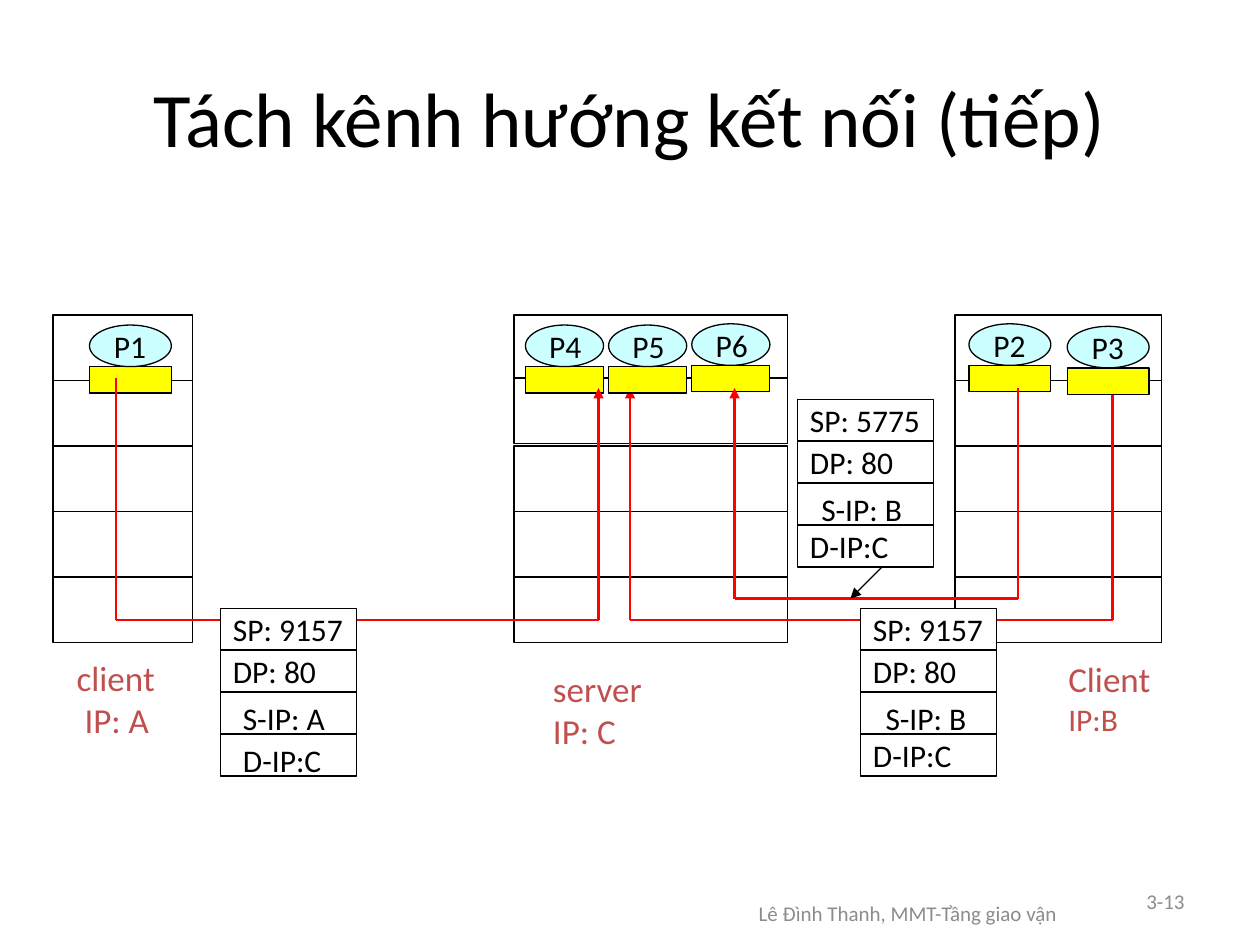
from lxml.etree import SubElement
from pptx import Presentation
from pptx.dml.color import RGBColor
from pptx.enum.shapes import MSO_CONNECTOR, MSO_SHAPE
from pptx.enum.text import MSO_ANCHOR, PP_ALIGN
from pptx.oxml.ns import qn
from pptx.util import Inches, Pt

BLACK = RGBColor(0x00, 0x00, 0x00)
WHITE = RGBColor(0xFF, 0xFF, 0xFF)
GRAY = RGBColor(0x8C, 0x8C, 0x8C)
RED = RGBColor(0xFF, 0x00, 0x00)
BRICK = RGBColor(0xC0, 0x50, 0x4D)
YELLOW = RGBColor(0xFF, 0xFF, 0x00)
CYAN = RGBColor(0xCC, 0xFF, 0xFF)

prs = Presentation()
prs.slide_width, prs.slide_height = Inches(10), Inches(7.5)
s = prs.slides.add_slide(prs.slide_layouts[6])


def add_text(sp, text, sizes, color=BLACK, align=PP_ALIGN.LEFT,
             anchor=MSO_ANCHOR.MIDDLE, wrap=False):
    tf = sp.text_frame
    tf.text = text
    tf.word_wrap = wrap
    tf.vertical_anchor = anchor
    for p, size in zip(tf.paragraphs, sizes):
        p.alignment = align
        for r in p.runs:
            r.font.name = "Calibri"
            r.font.size = Pt(size)
            r.font.color.rgb = color


def add_box(kind, x, y, w, h, fill):
    sp = s.shapes.add_shape(kind, Inches(x), Inches(y), Inches(w), Inches(h))
    sp.shadow.inherit = False
    sp.fill.solid()
    sp.fill.fore_color.rgb = fill
    sp.line.color.rgb = BLACK
    sp.line.width = Pt(0.75)
    return sp


# Title, footer and slide number
for text, x, y, w, h, size, color, align in [
    ("Lê Đình Thanh, MMT-Tầng giao vận", 5.33, 7, 3.75, 0.5, 12, GRAY, PP_ALIGN.CENTER),
    ("3-13", 7.17, 6.95, 2.33, 0.4, 12, GRAY, PP_ALIGN.RIGHT),
    ("Tách kênh hướng kết nối (tiếp)", 0.5, 0.3, 9, 1.25, 44, BLACK, PP_ALIGN.CENTER),
]:
    sp = s.shapes.add_textbox(Inches(x), Inches(y), Inches(w), Inches(h))
    add_text(sp, text, [size], color, align, wrap=True)

# Protocol stacks; the server's second layer sits slightly higher
for x, w, second in [(0.42, 1.11, 3.02), (4.08, 2.17, 3), (7.58, 1.64, 3.02)]:
    for y in (2.5, second, 3.54, 4.06, 4.58):
        add_box(MSO_SHAPE.RECTANGLE, x, y, w, 0.52, WHITE)

# Host names
for text, x, y, w, h, sizes in [
    ("client\n IP: A", 0.51, 5.16, 0.95, 0.77, (20, 20)),
    ("server\nIP: C", 4.29, 5.25, 1.05, 0.77, (20, 20)),
    ("Client\nIP:B", 8.38, 5.17, 0.95, 0.7, (20, 18)),
]:
    sp = s.shapes.add_textbox(Inches(x), Inches(y), Inches(w), Inches(h))
    add_text(sp, text, sizes, BRICK, anchor=MSO_ANCHOR.TOP)

# Processes with their sockets; P5 and P3 cover the ends of their connection
processes = [("P1", 0.71, 2.58, 0.65), ("P2", 7.69, 2.57, 0.65),
             ("P4", 4.17, 2.58, 0.62), ("P6", 5.49, 2.57, 0.62)]
front_processes = [("P5", 4.83, 2.58, 0.62), ("P3", 8.47, 2.59, 0.65)]
connections = [
    (0.92, 3, 0.92, 4.92, RED, False),
    (0.92, 4.92, 4.75, 4.92, RED, False),
    (4.75, 4.92, 4.75, 3.08, RED, True),
    (8.83, 3, 8.83, 4.92, RED, False),
    (5, 4.92, 8.83, 4.92, RED, False),
    (5, 4.92, 5, 3.08, RED, True),
    (8.08, 3.08, 8.08, 4.75, RED, False),
    (5.83, 4.75, 8.08, 4.75, RED, False),
    (5.83, 4.75, 5.83, 3.08, RED, True),
    (7, 4.5, 6.75, 4.75, BLACK, True),
]
for group, lines in [(processes, connections), (front_processes, [])]:
    for name, x, y, w in group:
        add_box(MSO_SHAPE.RECTANGLE, x, y + 0.33, w, 0.21, YELLOW)
        add_text(add_box(MSO_SHAPE.OVAL, x, y, w, 0.33, CYAN), name, [18])
    for x1, y1, x2, y2, color, arrow in lines:
        c = s.shapes.add_connector(MSO_CONNECTOR.STRAIGHT, Inches(x1), Inches(y1),
                                   Inches(x2), Inches(y2))
        c.line.color.rgb = color
        c.line.width = Pt(1.5 if color == RED else 0.75)
        if arrow:
            SubElement(c.line._get_or_add_ln(), qn("a:tailEnd"), type="triangle")
        SubElement(c._element.spPr, qn("a:effectLst"))

# Segments: four header fields each, the lowered ones in their own text box
for x, top, source_port, source_ip, lowered, dx in [
    (1.75, 4.83, "SP: 9157", "S-IP: A", (2, 3), 0.08),
    (6.83, 4.83, "SP: 9157", "S-IP: B", (2,), 0.1),
    (6.33, 3.17, "SP: 5775", "S-IP: B", (2,), 0.09),
]:
    for i, text in enumerate([source_port, "DP: 80", source_ip, "D-IP:C"]):
        y = top + i / 3
        add_box_sp = add_box(MSO_SHAPE.RECTANGLE, x, y, 1.08, 0.33, WHITE)
        if i in lowered:
            sp = s.shapes.add_textbox(Inches(x + dx), Inches(y), Inches(0.97), Inches(0.37))
            add_text(sp, text, [18], anchor=MSO_ANCHOR.TOP)
        else:
            add_text(add_box_sp, text, [18])

prs.save("out.pptx")
